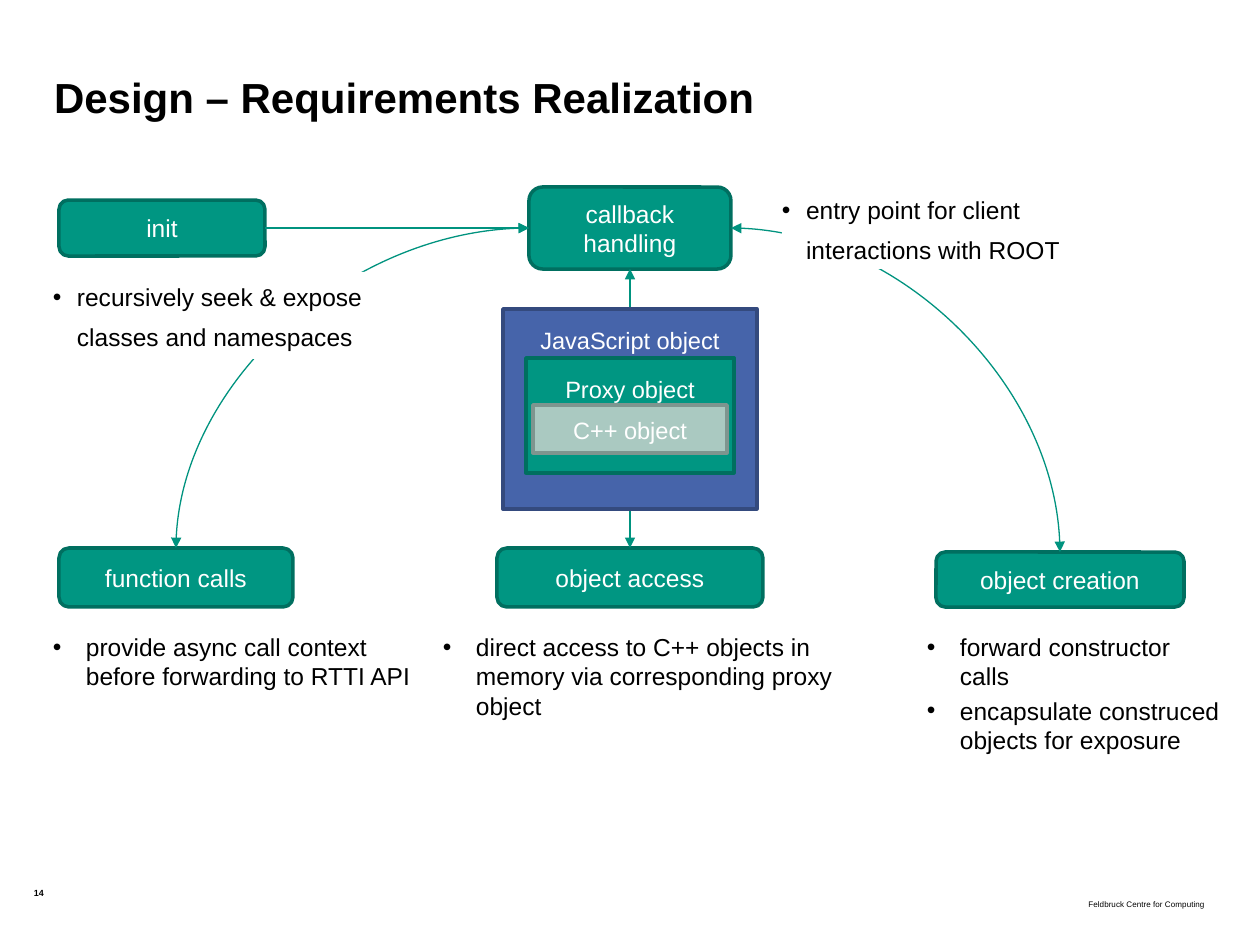
"""Build the slide on how the design realizes its requirements."""
from dataclasses import dataclass
from typing import Any

import lxml.etree
import pptx
import pptx.dml.color
import pptx.enum.shapes
import pptx.enum.text
import pptx.oxml.ns
import pptx.util

EMU_PER_PX = 914400 / 126
FONT = "Arial"
BLACK, WHITE = "000000", "FFFFFF"
GREEN, DARK_GREEN, ARROW_GREEN = "009682", "006F60", "00937F"
BLUE, DARK_BLUE = "4664AA", "344A7E"
PALE, GREY = "AAC9C1", "7E958F"
SHAPE = pptx.enum.shapes.MSO_SHAPE
CONNECTOR = pptx.enum.shapes.MSO_CONNECTOR
ANCHOR = pptx.enum.text.MSO_ANCHOR
ALIGN = pptx.enum.text.PP_ALIGN
TOP, LEFT, BOTTOM, RIGHT = range(4)


@dataclass(frozen=True)
class Area:
    left: int
    top: int
    width: int
    height: int


@dataclass(frozen=True)
class Step:
    area: Area
    lines: tuple[str, ...]


@dataclass(frozen=True)
class Layer:
    area: Area
    label: str
    fill: str
    border: str
    text_top: int


@dataclass(frozen=True)
class Notes:
    area: Area
    items: tuple[str, ...]
    indent: int = 33
    spacing: float = 1.0
    fill: str | None = None


STEPS = {
    "init": Step(Area(59, 200, 206, 56), ("init",)),
    "callback": Step(Area(529, 187, 202, 82), ("callback", "handling")),
    "calls": Step(Area(59, 548, 234, 59), ("function calls",)),
    "access": Step(Area(497, 548, 266, 59), ("object access",)),
    "creation": Step(Area(936, 552, 248, 55), ("object creation",)),
}
LAYERS = (
    Layer(Area(503, 309, 254, 200), "JavaScript object", BLUE, DARK_BLUE, 17),
    Layer(Area(526, 358, 208, 115), "Proxy object", GREEN, DARK_GREEN, 17),
    Layer(Area(533, 405, 194, 48), "C++ object", PALE, GREY, 11),
)
NOTES = (
    Notes(Area(53, 632, 379, 74), ("provide async call context before forwarding to RTTI API",)),
    Notes(Area(443, 632, 432, 93),
          ("direct access to C++ objects in memory via corresponding proxy object",)),
    Notes(Area(927, 632, 298, 91),
          ("forward constructor calls", "encapsulate construced objects for exposure")),
    Notes(Area(53, 272, 318, 87), ("recursively seek & expose classes and namespaces",),
          24, 1.35, WHITE),
)
ENTRY_POINT = Notes(Area(782, 185, 297, 84), ("entry point for client interactions with ROOT",),
                    24, 1.35, WHITE)


def px(length: int) -> int:
    """Turn pixels into EMU."""
    return round(length * EMU_PER_PX)


def color(value: str) -> pptx.dml.color.RGBColor:
    """Turn a hex string into a colour."""
    return pptx.dml.color.RGBColor.from_string(value)


def place(shape: Any, area: Area) -> None:
    """Move and size a shape."""
    shape.left, shape.top = px(area.left), px(area.top)
    shape.width, shape.height = px(area.width), px(area.height)


def add_text_box(shapes: Any, area: Area) -> Any:
    """Add an empty text box."""
    return shapes.add_textbox(px(area.left), px(area.top), px(area.width), px(area.height))


def write(shape: Any, lines: tuple[str, ...], size: float, ink: str = BLACK,
          align: Any = ALIGN.LEFT, anchor: Any = ANCHOR.TOP, bold: bool = False,
          margin_top: int = 0) -> list[Any]:
    """Write one paragraph per line and return the paragraphs."""
    frame = shape.text_frame
    frame.word_wrap = True
    frame.auto_size = pptx.enum.text.MSO_AUTO_SIZE.NONE
    frame.vertical_anchor = anchor
    frame.margin_left = frame.margin_right = frame.margin_bottom = 0
    frame.margin_top = px(margin_top)
    paragraphs = [frame.paragraphs[0]] + [frame.add_paragraph() for _ in lines[1:]]
    for paragraph, line in zip(paragraphs, lines):
        paragraph.alignment = align
        run = paragraph.add_run()
        run.text = line
        run.font.name, run.font.size, run.font.bold = FONT, pptx.util.Pt(size), bold
        run.font.color.rgb = color(ink)
    return paragraphs


def add_box(shapes: Any, kind: Any, area: Area, fill: str, border: str) -> Any:
    """Add a filled box with a border."""
    box = shapes.add_shape(kind, px(area.left), px(area.top), px(area.width), px(area.height))
    box.shadow.inherit = False
    box.fill.solid()
    box.fill.fore_color.rgb = color(fill)
    box.line.color.rgb = color(border)
    box.line.width = pptx.util.Pt(2)
    return box


def add_step(shapes: Any, step: Step) -> Any:
    """Add a rounded box for one step."""
    box = add_box(shapes, SHAPE.ROUNDED_RECTANGLE, step.area, GREEN, DARK_GREEN)
    write(box, step.lines, 14, WHITE, ALIGN.CENTER, ANCHOR.MIDDLE)
    return box


def add_layer(shapes: Any, layer: Layer) -> None:
    """Add one of the nested object boxes."""
    box = add_box(shapes, SHAPE.RECTANGLE, layer.area, layer.fill, layer.border)
    write(box, (layer.label,), 13.5, WHITE, ALIGN.CENTER, margin_top=layer.text_top)


def fill_notes(shape: Any, notes: Notes) -> None:
    """Write bulleted notes into a shape."""
    if notes.fill:
        shape.fill.solid()
        shape.fill.fore_color.rgb = color(notes.fill)
    for paragraph in write(shape, notes.items, 14):
        paragraph.line_spacing = notes.spacing
        paragraph.space_before = pptx.util.Pt(2.8)
        properties = paragraph._p.get_or_add_pPr()
        properties.set("marL", str(px(notes.indent)))
        properties.set("indent", str(-px(notes.indent)))
        for tag, key, value in (("a:buFont", "typeface", FONT), ("a:buChar", "char", "•")):
            lxml.etree.SubElement(properties, pptx.oxml.ns.qn(tag)).set(key, value)


def add_arrow(shapes: Any, kind: Any, start: tuple[Any, int], end: tuple[Any, int],
              ends: tuple[str, ...] = ("a:headEnd", "a:tailEnd")) -> None:
    """Join two steps with an arrow."""
    arrow = shapes.add_connector(kind, 0, 0, 0, 0)
    arrow.begin_connect(*start)
    arrow.end_connect(*end)
    arrow.line.color.rgb = color(ARROW_GREEN)
    arrow.line.width = pptx.util.Pt(0.75)
    properties = arrow.element.spPr
    for tag in ends:
        lxml.etree.SubElement(properties.ln, pptx.oxml.ns.qn(tag)).set("type", "triangle")
    lxml.etree.SubElement(properties, pptx.oxml.ns.qn("a:effectLst"))
    if kind == CONNECTOR.CURVE:
        properties.find(pptx.oxml.ns.qn("a:prstGeom")).set("prst", "curvedConnector2")


def main() -> None:
    """Build and save the slide."""
    deck = pptx.Presentation()
    deck.slide_width, deck.slide_height = px(1260), px(945)
    slide = deck.slides.add_slide(deck.slide_layouts[1])
    shapes = slide.shapes
    title, entry_point = slide.placeholders
    place(title, Area(54, 45, 953, 77))
    write(title, ("Design – Requirements Realization",), 24, anchor=ANCHOR.BOTTOM, bold=True)

    footer = add_text_box(shapes, Area(828, 890, 377, 49))
    credit = write(footer, ("Feldbruck Centre for Computing",), 8, align=ALIGN.RIGHT)[0]
    credit.runs[0].font._element.set("baseline", "-25000")
    write(add_text_box(shapes, Area(34, 888, 45, 30)), ("14",), 5.1, bold=True)

    steps = {key: add_step(shapes, step) for key, step in STEPS.items()}
    callback = steps["callback"]
    add_arrow(shapes, CONNECTOR.STRAIGHT, (steps["init"], RIGHT), (callback, LEFT), ("a:tailEnd",))
    add_arrow(shapes, CONNECTOR.STRAIGHT, (steps["access"], TOP), (callback, BOTTOM))
    add_arrow(shapes, CONNECTOR.CURVE, (callback, LEFT), (steps["calls"], TOP))
    add_arrow(shapes, CONNECTOR.CURVE, (callback, RIGHT), (steps["creation"], TOP))

    for notes in NOTES:
        fill_notes(add_text_box(shapes, notes.area), notes)
    nested_objects = shapes.add_group_shape()
    for layer in LAYERS:
        add_layer(nested_objects.shapes, layer)

    place(entry_point, ENTRY_POINT.area)
    fill_notes(entry_point, ENTRY_POINT)
    entry_point.element.getparent().append(entry_point.element)
    deck.save("out.pptx")


if __name__ == "__main__":
    main()
